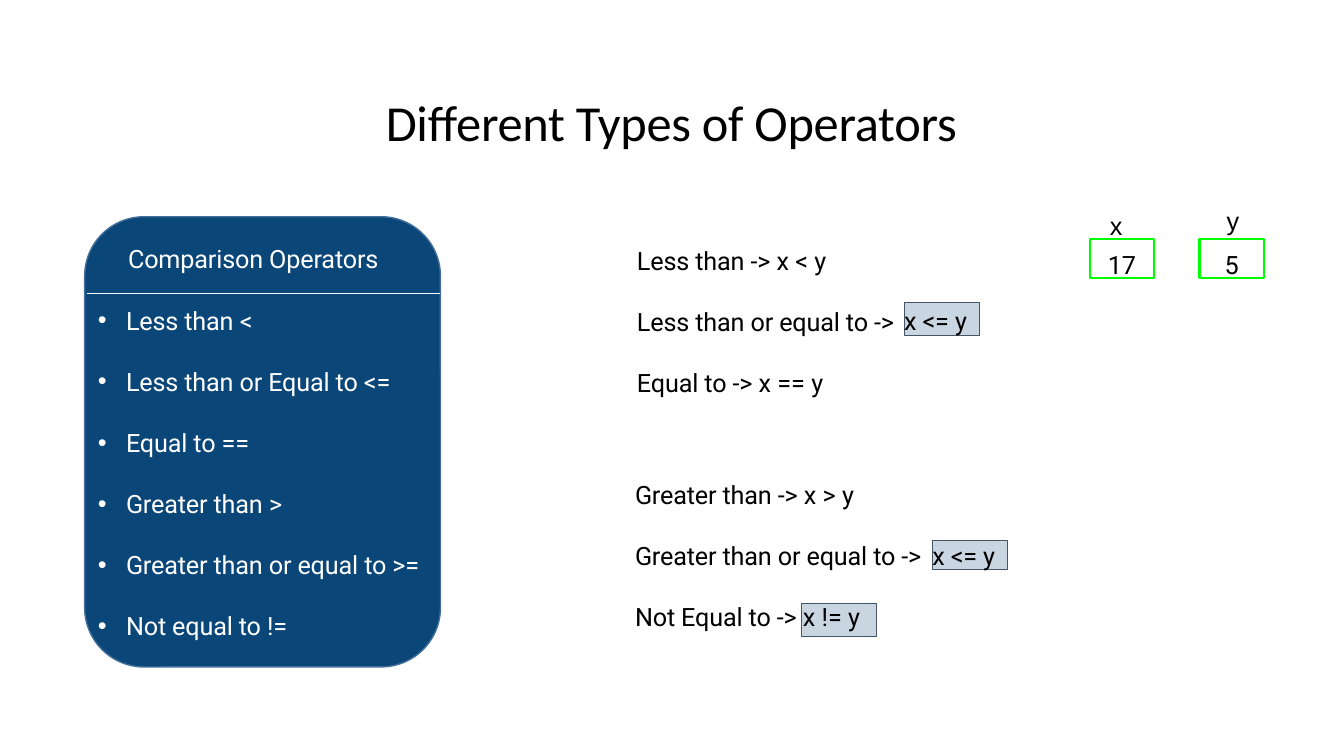
from dataclasses import dataclass

from lxml.etree import SubElement
from pptx import Presentation
from pptx.dml.color import RGBColor
from pptx.enum.shapes import MSO_CONNECTOR, MSO_SHAPE
from pptx.enum.text import MSO_ANCHOR, MSO_AUTO_SIZE, PP_ALIGN
from pptx.oxml.ns import qn
from pptx.util import Inches, Pt

COLORS = {
    "navy": "0B4679",
    "panel_edge": "42709A",
    "chip_edge": "445469",
    "green": "00FF00",
    "white": "FFFFFF",
    "black": "000000",
}
SLIDE_WIDTH, SLIDE_HEIGHT = Inches(13.333), Inches(7.5)
COLUMNS, ROWS = 160, 90
LINE_STEP = 7.28
LINE_HEIGHT = 3.84
TEXT_INSET = 0.3


@dataclass(frozen=True)
class Area:
    left: float
    top: float
    width: float
    height: float


@dataclass(frozen=True)
class Style:
    font: str = "Roboto"
    size: float = 18
    color: str = "black"
    align: PP_ALIGN = PP_ALIGN.LEFT
    inset: float = TEXT_INSET
    bullet: bool = False
    tracking: int = -10


@dataclass(frozen=True)
class Chip:
    area: Area
    spans: tuple[str, ...]
    inset: float


@dataclass(frozen=True)
class Variable:
    name: str
    value: str
    box_left: float
    name_left: float
    name_top: float


TITLE = Area(42.24, 10.56, 75.36, 7.44)
PANEL = Area(10.08, 25.8, 42.36, 53.6)
HEADING = Area(15.24, 28.68, 32, LINE_HEIGHT)
DIVIDER_LEFT, DIVIDER_TOP = 10.32, 34.96
OPERATORS = (
    ("Less than ", "<"),
    ("Less than or Equal to <=",),
    ("Equal to ==",),
    ("Greater than ", ">"),
    ("Greater than or equal to >=",),
    ("Not equal to !=",),
)
FIRST_EXAMPLES = (
    ("Less than -> ", "x < y"),
    ("Less than or equal to ->",),
    ("Equal to -> ", "x == y"),
)
LAST_EXAMPLES = (
    ("Greater than -> ", "x > y"),
    ("Greater than or equal to ->",),
    ("Not Equal to -> ", "x != y"),
)
CHIPS = (
    Chip(Area(107.64, 36, 9, 3.96), ("x <= y",), 0.4),
    Chip(Area(111, 64.32, 9, 3.48), ("x <= y",), 0),
    Chip(Area(95.4, 71.8, 9, 3.96), (), 0),
)
VARIABLES = (
    Variable("x", "17", 129.72, 132.12, 24.72),
    Variable("y", "5", 142.8, 146.04, 24.12),
)
PLAIN = Style()
ON_PANEL = Style(color="white")
BULLETED = Style(color="white", bullet=True)


def across(columns: float) -> int:
    return round(SLIDE_WIDTH * columns / COLUMNS)


def down(rows: float) -> int:
    return round(SLIDE_HEIGHT * rows / ROWS)


def place(area: Area) -> tuple[int, int, int, int]:
    return across(area.left), down(area.top), across(area.width), down(area.height)


def rgb(name: str) -> RGBColor:
    return RGBColor.from_string(COLORS[name])


def add_bullet(para) -> None:
    properties = para._p.get_or_add_pPr()
    properties.set("marL", str(Inches(0.29)))
    properties.set("indent", str(-Inches(0.28)))
    SubElement(properties, qn("a:buFont")).set("typeface", "Arial")
    SubElement(properties, qn("a:buChar")).set("char", "•")


def write(shape, spans: tuple[str, ...], style: Style, anchor=MSO_ANCHOR.TOP) -> None:
    frame = shape.text_frame
    frame.word_wrap = True
    frame.auto_size = MSO_AUTO_SIZE.NONE
    frame.vertical_anchor = anchor
    frame.margin_left = frame.margin_right = frame.margin_bottom = 0
    frame.margin_top = down(style.inset)
    para = frame.paragraphs[0]
    para.alignment = style.align
    if style.bullet:
        add_bullet(para)
    for index, text in enumerate(spans):
        span = para.add_run()
        span.text = text
        span.font.name = style.font
        span.font.size = Pt(style.size)
        span.font.color.rgb = rgb(style.color)
        tracking = 0 if index else style.tracking
        span._r.get_or_add_rPr().set("spc", str(tracking))


def add_text(page, area: Area, spans: tuple[str, ...], style: Style) -> None:
    write(page.shapes.add_textbox(*place(area)), spans, style)


def add_lines(page, left: float, top: float, width: float, lines, style: Style) -> None:
    for index, spans in enumerate(lines):
        area = Area(left, top + index * LINE_STEP, width, LINE_HEIGHT)
        add_text(page, area, spans, style)


def add_box(page, area: Area, edge: str, weight: float, fill: str = "",
            opacity: int = 100, kind=MSO_SHAPE.RECTANGLE):
    box = page.shapes.add_shape(kind, *place(area))
    box.shadow.inherit = False
    box.line.color.rgb = rgb(edge)
    box.line.width = Pt(weight)
    if not fill:
        box.fill.background()
        return box
    box.fill.solid()
    box.fill.fore_color.rgb = rgb(fill)
    if opacity < 100:
        color = box._element.spPr.find(qn("a:solidFill")).find(qn("a:srgbClr"))
        SubElement(color, qn("a:alpha")).set("val", str(opacity * 1000))
    return box


def add_divider(page) -> None:
    line = page.shapes.add_connector(
        MSO_CONNECTOR.STRAIGHT, across(DIVIDER_LEFT), down(DIVIDER_TOP),
        across(PANEL.left + PANEL.width), down(DIVIDER_TOP))
    line.line.color.rgb = rgb("white")
    line.line.width = Pt(0.75)
    SubElement(line._element.spPr, qn("a:effectLst"))


def add_variable(page, variable: Variable) -> None:
    box = add_box(page, Area(variable.box_left, 28.44, 7.68, 4.68), "green", 1.5)
    write(box, (variable.value,), Style(align=PP_ALIGN.CENTER, inset=1.2))
    name_area = Area(variable.name_left, variable.name_top, 1.8, 3.96)
    add_text(page, name_area, (variable.name,), Style(font="Arial", tracking=0))


def main() -> None:
    deck = Presentation()
    deck.slide_width, deck.slide_height = SLIDE_WIDTH, SLIDE_HEIGHT
    page = deck.slides.add_slide(deck.slide_layouts[5])
    title = page.shapes.title
    title.left, title.top, title.width, title.height = place(TITLE)
    title_style = Style(font="Calibri", size=36, align=PP_ALIGN.CENTER, tracking=-20)
    write(title, ("Different Types of Operators",), title_style, MSO_ANCHOR.MIDDLE)

    add_box(page, PANEL, "panel_edge", 1, "navy", kind=MSO_SHAPE.ROUNDED_RECTANGLE)
    add_divider(page)
    add_text(page, HEADING, ("Comparison Operators",), ON_PANEL)
    add_lines(page, 11.52, 36, 40.92, OPERATORS, BULLETED)

    for chip in CHIPS:
        box = add_box(page, chip.area, "chip_edge", 0.75, "navy", 22)
        write(box, chip.spans, Style(inset=chip.inset))
    add_lines(page, 75.84, 28.92, 36, FIRST_EXAMPLES, PLAIN)
    add_lines(page, 75.6, 56.76, 36.5, LAST_EXAMPLES, PLAIN)
    for variable in VARIABLES:
        add_variable(page, variable)
    deck.save("out.pptx")


if __name__ == "__main__":
    main()
